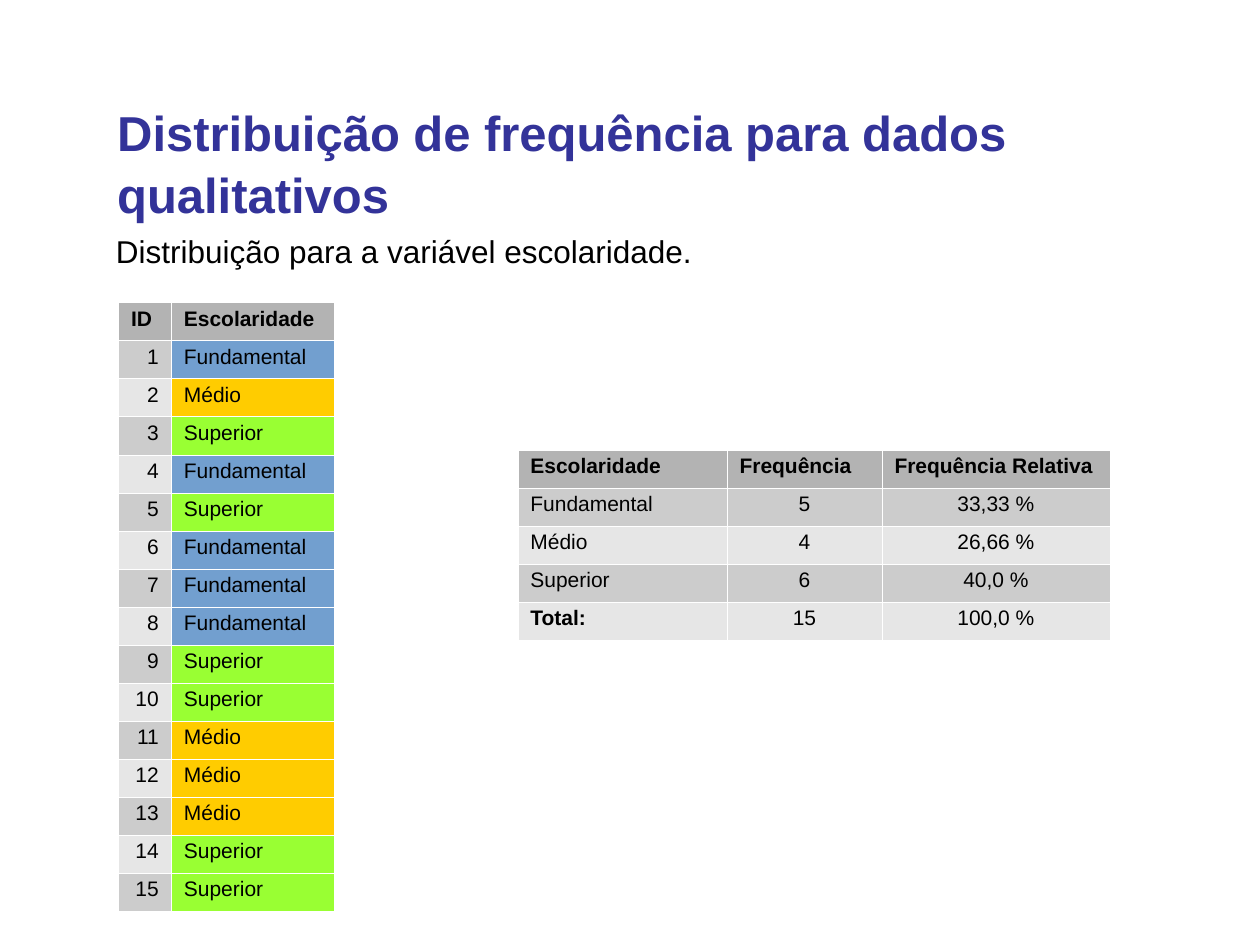
from lxml import etree
from pptx import Presentation
from pptx.dml.color import RGBColor
from pptx.enum.text import MSO_ANCHOR, MSO_AUTO_SIZE, PP_ALIGN
from pptx.oxml.ns import qn
from pptx.util import Inches, Pt

LEFT, CENTER, RIGHT = PP_ALIGN.LEFT, PP_ALIGN.CENTER, PP_ALIGN.RIGHT
TOP = MSO_ANCHOR.TOP
NO_AUTOFIT = MSO_AUTO_SIZE.NONE

# Content
TITLE = "Distribuição de frequência para dados qualitativos"
SUBTITLE = "Distribuição para a variável escolaridade."
F, M, S = "Fundamental", "Médio", "Superior"
LEVELS = [F, M, S, F, S, F, F, F, S, S, M, M, M, S, S]
SAMPLE_ROWS = [("ID", "Escolaridade")] + [
    (str(number), level) for number, level in enumerate(LEVELS, 1)]
FREQUENCY_ROWS = [
    ("Escolaridade", "Frequência", "Frequência Relativa"),
    (F, "5", "33,33 %"),
    (M, "4", "26,66 %"),
    (S, "6", "40,0 %"),
    ("Total:", "15", "100,0 %"),
]

# Format
HEADER_FILL = "B3B3B3"
BAND_FILLS = ("CCCCCC", "E6E6E6")
LEVEL_FILLS = {F: "729FCF", M: "FFCC00", S: "99FF33"}
TITLE_FONT = {"name": "Arial", "size": Pt(28), "bold": True}
SUBTITLE_FONT = {"name": "Arial", "size": Pt(18), "bold": False}
CELL_FONT = {"name": "Arial", "size": Pt(12)}
ROW_HEIGHT = 0.302
BORDER_WIDTH = Pt(0.06)


def color(hex_value):
    return RGBColor.from_string(hex_value)


def style_font(font, values, hex_value):
    for name, value in values.items():
        setattr(font, name, value)
    font.color.rgb = color(hex_value)


def fill_placeholder(shape, text, box, values, hex_value, line_spacing):
    shape.left, shape.top, shape.width, shape.height = map(Inches, box)
    frame = shape.text_frame
    frame.text = text
    frame.word_wrap = True
    frame.auto_size = NO_AUTOFIT
    frame.vertical_anchor = TOP
    paragraph = frame.paragraphs[0]
    properties = paragraph._p.get_or_add_pPr()
    properties.set("marL", "0")
    properties.set("indent", "0")
    etree.SubElement(properties, qn("a:buNone"))
    paragraph.alignment = LEFT
    paragraph.space_before = Pt(0)
    paragraph.line_spacing = line_spacing
    style_font(paragraph.font, values, hex_value)


def add_borders(cell):
    properties = cell._tc.get_or_add_tcPr()
    for position, side in enumerate(("lnL", "lnR", "lnT", "lnB")):
        line = etree.Element(qn(f"a:{side}"), w=str(BORDER_WIDTH))
        fill = etree.SubElement(line, qn("a:solidFill"))
        etree.SubElement(fill, qn("a:srgbClr"), val="FFFFFF")
        properties.insert(position, line)


def add_data_table(slide, rows, left, top, widths, alignments):
    frame = slide.shapes.add_table(
        len(rows), len(widths), Inches(left), Inches(top),
        Inches(sum(widths)), Inches(ROW_HEIGHT * len(rows)))
    table = frame.table
    table.first_row = table.horz_banding = False
    for column, width in zip(table.columns, widths):
        column.width = Inches(width)
    for row_index, row in enumerate(rows):
        is_header = row_index == 0
        band = HEADER_FILL if is_header else BAND_FILLS[(row_index - 1) % 2]
        for column_index, text in enumerate(row):
            cell = table.cell(row_index, column_index)
            cell.text = text
            cell.fill.solid()
            cell.fill.fore_color.rgb = color(band)
            add_borders(cell)
            paragraph = cell.text_frame.paragraphs[0]
            paragraph.alignment = LEFT if is_header else alignments[column_index]
            paragraph.line_spacing = 0.93
            style_font(paragraph.font, CELL_FONT, "000000")
            paragraph.font.bold = is_header or text == "Total:"
    return table


def main():
    presentation = Presentation()
    presentation.slide_width, presentation.slide_height = Inches(10), Inches(7.5)
    slide = presentation.slides.add_slide(presentation.slide_layouts[1])

    # Title and subtitle
    fill_placeholder(slide.shapes.title, TITLE, (0.83, 0.74, 8.51, 0.63),
                     TITLE_FONT, "333399", 1.05)
    fill_placeholder(slide.placeholders[1], SUBTITLE, (0.82, 1.79, 8.28, 0.44),
                     SUBTITLE_FONT, "000000", 1.0)

    # Sample, with each level in its own colour
    sample = add_data_table(slide, SAMPLE_ROWS, 0.94, 2.4, (0.42, 1.29),
                            (RIGHT, LEFT))
    for row_index, level in enumerate(LEVELS, 1):
        sample.cell(row_index, 1).fill.fore_color.rgb = color(LEVEL_FILLS[level])

    # Frequency distribution
    add_data_table(slide, FREQUENCY_ROWS, 4.11, 3.57, (1.66, 1.23, 1.81),
                   (LEFT, CENTER, CENTER))

    presentation.save("out.pptx")


if __name__ == "__main__":
    main()
